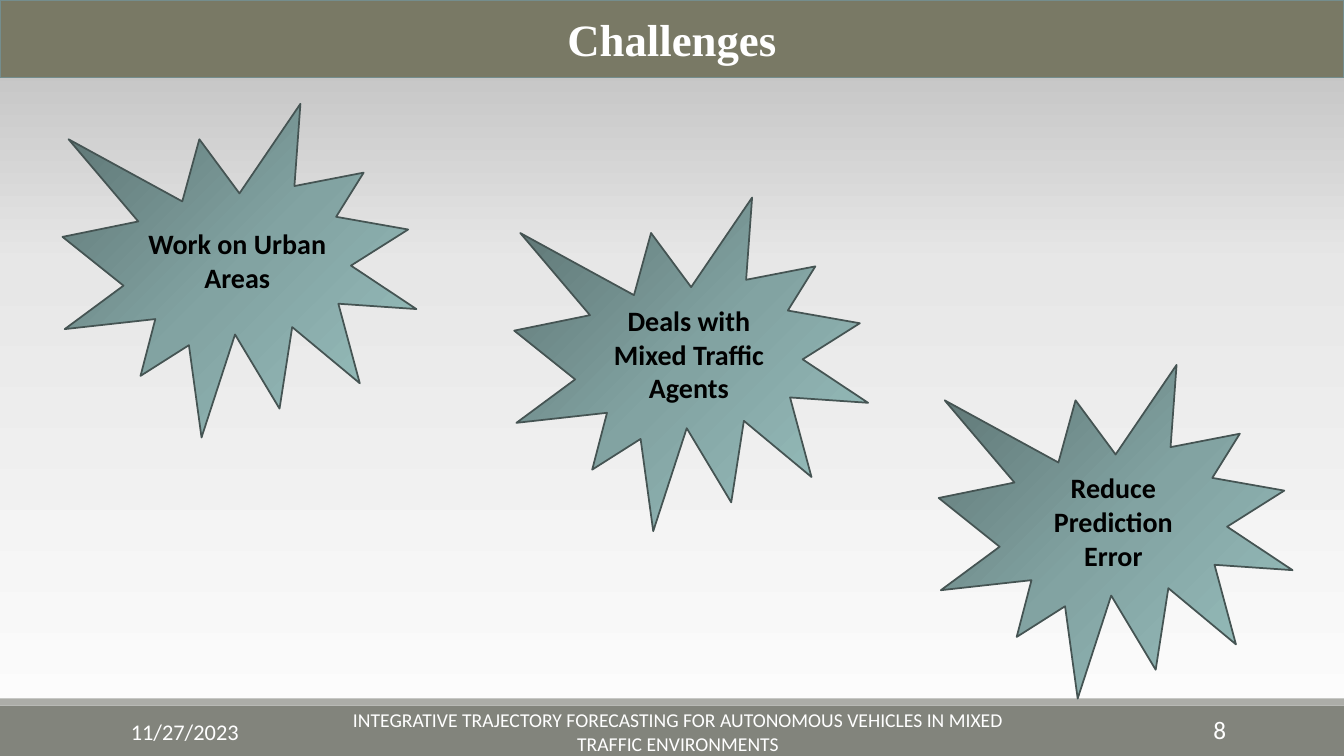
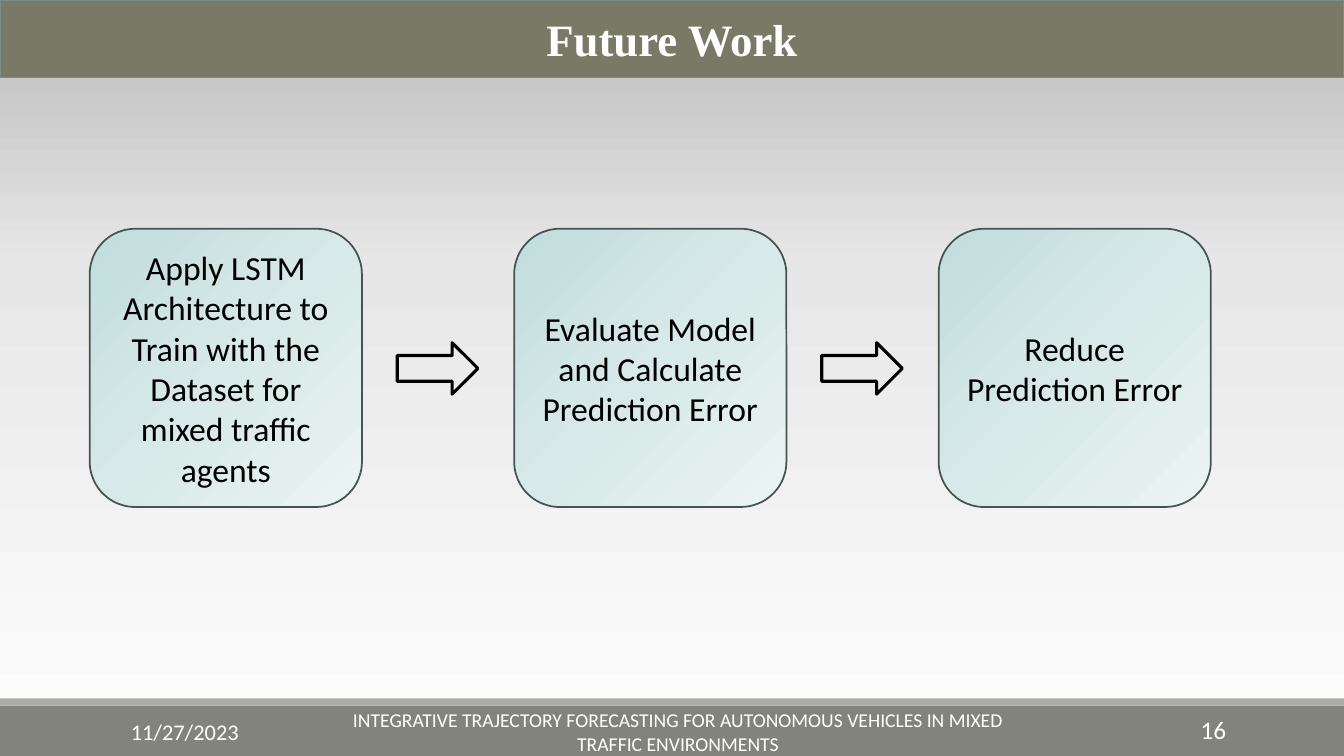
from pptx import Presentation
from pptx.dml.color import RGBColor
from pptx.enum import shapes, text
from pptx.oxml import ns, xmlchemy
from pptx.util import Inches, Pt

WIDTH, HEIGHT = 13.33, 7.5
BLACK = RGBColor(0x00, 0x00, 0x00)
WHITE = RGBColor(0xFF, 0xFF, 0xFF)
TITLE_FILL = RGBColor(0x79, 0x79, 0x65)
TITLE_LINE = RGBColor(0x74, 0x8D, 0x8D)
FOOTER_FILL = RGBColor(0x82, 0x84, 0x7C)
FOOTER_EDGE = RGBColor(0xAC, 0xAD, 0xA8)
OUTLINE = RGBColor(0x45, 0x54, 0x53)

# Gradients: (position in percent, colour) stops
BACKGROUND = [(0, RGBColor(0xFE, 0xFE, 0xFE)), (65, RGBColor(0xE7, 0xE7, 0xE7)),
              (100, RGBColor(0xB9, 0xB9, 0xB9))]
DARK_TEAL = [(0, RGBColor(0x5C, 0x73, 0x72)), (50, RGBColor(0x82, 0xA3, 0xA2)),
             (100, RGBColor(0x9A, 0xC2, 0xC0))]
PALE_TEAL = [(0, RGBColor(0xC0, 0xDD, 0xDC)), (50, RGBColor(0xD7, 0xE9, 0xE8)),
             (100, RGBColor(0xEB, 0xF4, 0xF3))]

DATE = "11/27/2023"
FOOTER = ("INTEGRATIVE TRAJECTORY FORECASTING FOR AUTONOMOUS VEHICLES "
          "IN MIXED TRAFFIC ENVIRONMENTS")
SHAPE = shapes.MSO_SHAPE
ALIGN = text.PP_ALIGN


def set_gradient(owner, fill, stops, angle):
    """Fill a slide background or shape with stops; angle runs clockwise."""
    fill.gradient()
    grad = next(owner.element.iter(ns.qn("a:gradFill")))
    stop_list = grad.find(ns.qn("a:gsLst"))
    stop_list.clear()
    for position, color in stops:
        gs = xmlchemy.OxmlElement("a:gs")
        gs.set("pos", str(position * 1000))
        rgb = xmlchemy.OxmlElement("a:srgbClr")
        rgb.set("val", str(color))
        gs.append(rgb)
        stop_list.append(gs)
    grad.find(ns.qn("a:lin")).set("ang", str(angle * 60000))


def set_text(sp, content, size, color=BLACK, font="Calibri", bold=False,
             align=ALIGN.CENTER):
    tf = sp.text_frame
    tf.word_wrap = True
    tf.vertical_anchor = text.MSO_ANCHOR.MIDDLE
    p = tf.paragraphs[0]
    p.alignment = align
    r = p.add_run()
    r.text = content
    r.font.name = font
    r.font.size = Pt(size)
    r.font.bold = bold
    r.font.color.rgb = color


def add_shape(s, kind, box, fill=None, line=None, line_width=1.25):
    """Add a preset shape; fill is a colour, gradient stops or None."""
    sp = s.shapes.add_shape(kind, *map(Inches, box))
    sp.shadow.inherit = False
    if fill is None:
        sp.fill.background()
    elif isinstance(fill, RGBColor):
        sp.fill.solid()
        sp.fill.fore_color.rgb = fill
    else:
        set_gradient(sp, sp.fill, fill, 45)
    if line is None:
        sp.line.fill.background()
    else:
        sp.line.color.rgb = line
        sp.line.width = Pt(line_width)
    return sp


def add_label(s, box, content, size, align):
    sp = s.shapes.add_textbox(*map(Inches, box))
    set_text(sp, content, size, WHITE, align=align)


def add_slide(prs, title, number):
    """Add a slide with the shared background, title band and footer."""
    s = prs.slides.add_slide(prs.slide_layouts[6])
    set_gradient(s, s.background.fill, BACKGROUND, 270)
    add_shape(s, SHAPE.RECTANGLE, (0, 7, WIDTH, 0.5), FOOTER_FILL)
    add_shape(s, SHAPE.RECTANGLE, (0, 6.93, WIDTH, 0.07), FOOTER_EDGE)
    band = add_shape(s, SHAPE.RECTANGLE, (0, 0, WIDTH, 0.77), TITLE_FILL, TITLE_LINE)
    set_text(band, title, 32, WHITE, font="Times New Roman", bold=True)
    add_label(s, (1.2, 7.06, 2.7, 0.4), DATE, 16, ALIGN.LEFT)
    add_label(s, (3.38, 7.06, 6.69, 0.4), FOOTER, 14, ALIGN.CENTER)
    add_label(s, (10.83, 7.04, 1.43, 0.4), str(number), 18, ALIGN.RIGHT)
    return s


def add_challenges(prs):
    s = add_slide(prs, "Challenges", 8)
    bursts = [(0.62, 1.03, "Work on Urban Areas"),
              (5.1, 1.96, "Deals with Mixed Traffic Agents"),
              (9.31, 3.62, "Reduce Prediction Error")]
    for left, top, content in bursts:
        burst = add_shape(s, SHAPE.EXPLOSION1, (left, top, 3.51, 3.31), DARK_TEAL, OUTLINE)
        set_text(burst, content, 20, bold=True)


def add_future_work(prs):
    s = add_slide(prs, "Future Work", 16)
    steps = ["Apply LSTM Architecture to Train with the Dataset for mixed traffic agents",
             "Evaluate Model and Calculate Prediction Error",
             "Reduce Prediction Error"]
    first_left, pitch = 0.89, 4.21
    for i, content in enumerate(steps):
        left = first_left + i * pitch
        step = add_shape(s, SHAPE.ROUNDED_RECTANGLE, (left, 2.27, 2.7, 2.76),
                         PALE_TEAL, OUTLINE)
        set_text(step, content, 24)
        if i < len(steps) - 1:
            add_shape(s, SHAPE.RIGHT_ARROW, (left + 3.05, 3.4, 0.8, 0.51),
                      line=BLACK, line_width=2.25)


def main():
    prs = Presentation()
    prs.slide_width = Inches(WIDTH)
    prs.slide_height = Inches(HEIGHT)
    add_challenges(prs)
    add_future_work(prs)
    prs.save("out.pptx")


if __name__ == "__main__":
    main()
